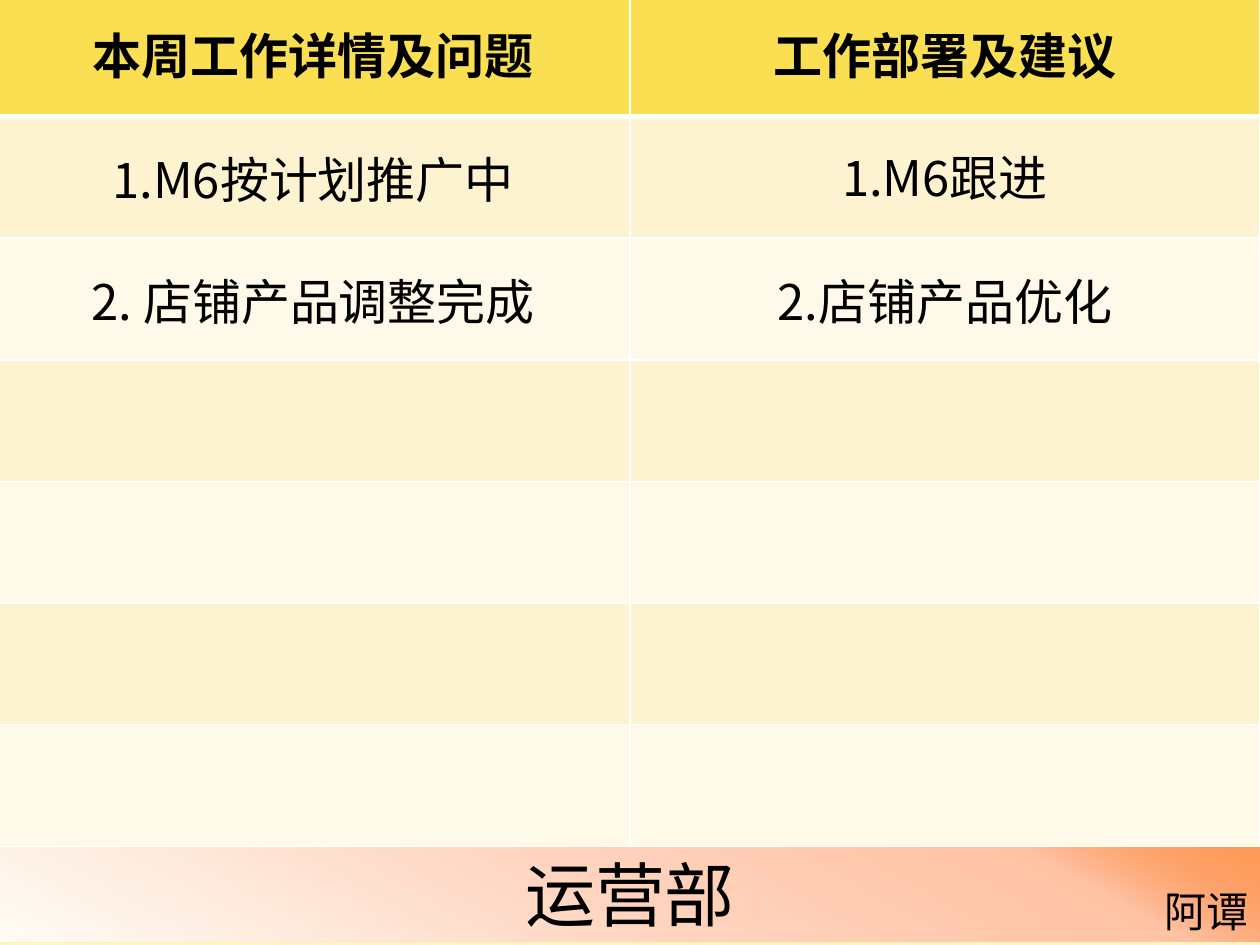
from lxml.etree import SubElement
from pptx import Presentation
from pptx.dml.color import RGBColor
from pptx.enum.shapes import MSO_SHAPE
from pptx.enum.text import MSO_ANCHOR, PP_ALIGN
from pptx.oxml.ns import qn
from pptx.util import Inches, Pt

FONT = "Noto Sans CJK SC"
ROWS = [
    ("本周工作详情及问题", "工作部署及建议"),
    ("1.M6按计划推广中", "1.M6跟进"),
    ("2. 店铺产品调整完成", "2.店铺产品优化"),
    ("", ""),
    ("", ""),
    ("", ""),
    ("", ""),
]
TIGHT_CELLS = [(0, 0), (0, 1), (1, 1)]


def set_gradient(fill, element, angle, stops):
    fill.gradient()
    fill.gradient_angle = 360 - angle
    stop_list = next(element.iter(qn("a:gsLst")))
    for stop in list(stop_list):
        stop_list.remove(stop)
    for position, color, opacity in stops:
        stop = SubElement(stop_list, qn("a:gs"), pos=str(position * 1000))
        tone = SubElement(stop, qn("a:srgbClr"), val=color)
        if opacity < 100:
            SubElement(tone, qn("a:alpha"), val=str(opacity * 1000))


def write_text(text_frame, text, size, alignment, bold=False):
    text_frame.text = text
    paragraph = text_frame.paragraphs[0]
    paragraph.alignment = alignment
    for run in paragraph.runs:
        run.font.size = Pt(size)
        run.font.bold = bold
        run.font.name = FONT
        run.font.color.rgb = RGBColor.from_string("000000")
        SubElement(run.font._element, qn("a:ea"), typeface=FONT)


presentation = Presentation()
presentation.slide_width = Inches(10)
presentation.slide_height = Inches(7.5)
slide = presentation.slides.add_slide(presentation.slide_layouts[6])
set_gradient(slide.background.fill, slide.element, 90, [
    (0, "FFFDF6", 100), (74, "FDF1B2", 100), (83, "FDF1B2", 100), (100, "FEF5CB", 100)])

department_bar = slide.shapes.add_shape(
    MSO_SHAPE.RECTANGLE, Inches(-0.02), Inches(6.71), Inches(10.04), Inches(0.77))
department_bar.shadow.inherit = False
set_gradient(department_bar.fill, department_bar.element, 299, [
    (0, "FFFDF6", 100), (45, "FFD6C2", 100), (83, "FFC2A3", 100), (100, "FF5D0D", 58)])
department_bar.line.color.rgb = RGBColor.from_string("FDF1B2")
department_bar.line.width = Pt(0.75)
department_bar.text_frame.vertical_anchor = MSO_ANCHOR.MIDDLE
write_text(department_bar.text_frame, "运营部", 40, PP_ALIGN.CENTER)

author_box = slide.shapes.add_textbox(Inches(9.14), Inches(6.98), Inches(0.87), Inches(0.5))
author_box.text_frame.word_wrap = False
write_text(author_box.text_frame, "阿谭", 24, PP_ALIGN.RIGHT)

table = slide.shapes.add_table(
    len(ROWS), 2, Inches(-0.03), Inches(-0.04), Inches(10.03), Inches(6.76)).table
table.columns[0].width = Inches(5.03)
table.columns[1].width = Inches(5)

for row_index, texts in enumerate(ROWS):
    for column_index, text in enumerate(texts):
        cell = table.cell(row_index, column_index)
        header = row_index == 0
        cell.vertical_anchor = MSO_ANCHOR.MIDDLE
        if (row_index, column_index) in TIGHT_CELLS:
            cell.margin_left = cell.margin_right = cell.margin_top = Inches(0.01)
        write_text(cell.text_frame, text, 28, PP_ALIGN.CENTER, header)
        properties = cell._tc.get_or_add_tcPr()
        for side in ("lnL", "lnR", "lnT", "lnB"):
            heavy = (header and side == "lnB") or (row_index == 1 and side == "lnT")
            border = SubElement(properties, qn("a:" + side), w=str(Pt(3 if heavy else 1)))
            border_fill = SubElement(border, qn("a:solidFill"))
            SubElement(border_fill, qn("a:srgbClr"), val="FFFFFF")
        band = "FDF3D1" if row_index % 2 else "FEF9E9"
        cell.fill.solid()
        cell.fill.fore_color.rgb = RGBColor.from_string("FBDF53" if header else band)

presentation.save("out.pptx")
